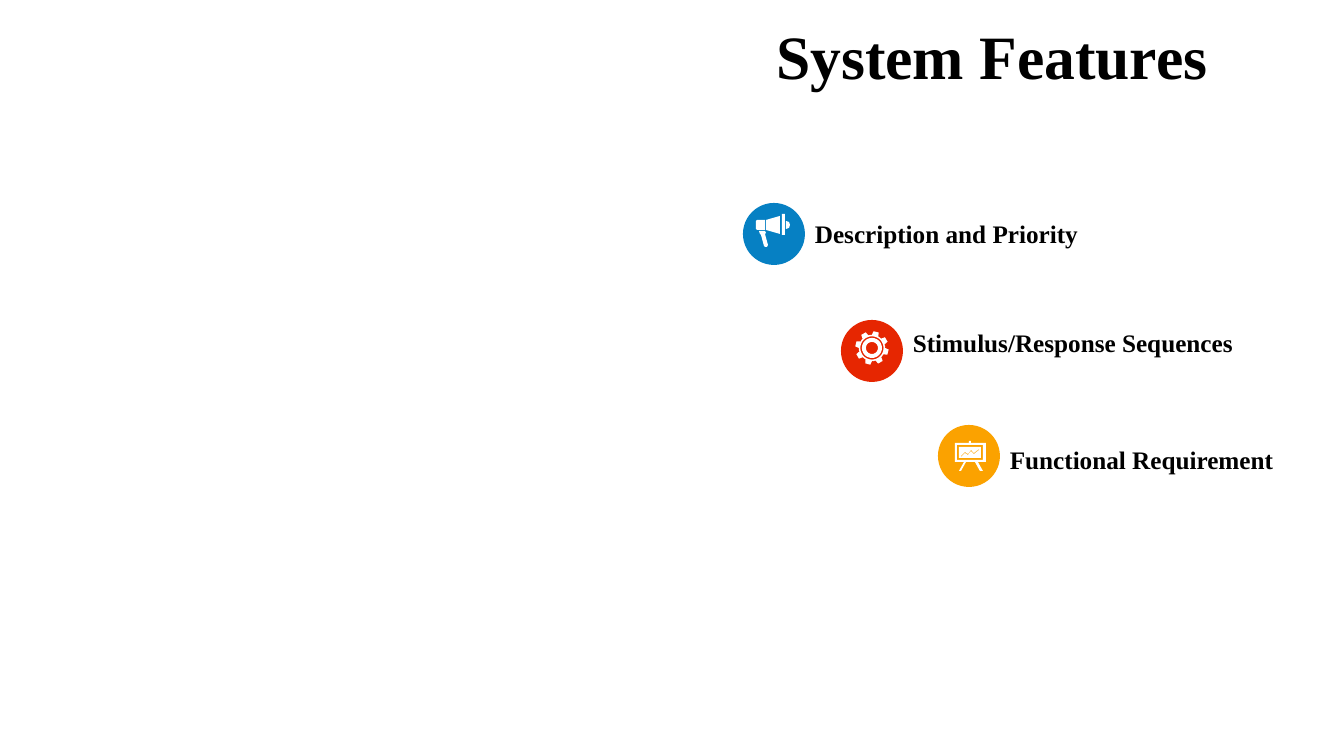
from math import cos, pi, sin

from pptx import Presentation
from pptx.dml.color import RGBColor
from pptx.enum.shapes import MSO_SHAPE
from pptx.enum.text import PP_ALIGN
from pptx.util import Pt

PX = 9071.43
ICON_STEPS = 10
CIRCLE_SIZE = 62
FONT = "Times New Roman"


def px(length):
    """Turn a length in px into EMU."""
    return round(length * PX)


def color(value):
    """Turn a hex string into a colour."""
    return RGBColor.from_string(value)


def paint(shape, fill):
    """Give a shape a flat fill without line or shadow."""
    shape.shadow.inherit = False
    shape.fill.solid()
    shape.fill.fore_color.rgb = color(fill)
    shape.line.fill.background()


def add_text(slide, text, box, size=18, align=PP_ALIGN.LEFT, top_inset=5):
    """Add one bold black line of text in a box."""
    frame = slide.shapes.add_textbox(*map(px, box)).text_frame
    frame.word_wrap = True
    frame.margin_top = px(top_inset)
    paragraph = frame.paragraphs[0]
    paragraph.alignment = align
    paragraph.text = text
    font = paragraph.font
    font.name, font.size, font.bold = FONT, Pt(size), True
    font.color.rgb = color("000000")


def rectangle(left, top, right, bottom):
    """Return the corners of a rectangle."""
    return [(left, top), (right, top), (right, bottom), (left, bottom)]


def ring(center_x, center_y, radius, count=48):
    """Return points around a circle."""
    angles = [2 * pi * step / count for step in range(count)]
    return [(center_x + radius * cos(angle), center_y + radius * sin(angle))
            for angle in angles]


def gear_outline(center_x, center_y, teeth=8, first_angle=-75.5):
    """Return the toothed outline of a gear."""
    tooth = [(-15, 13), (-9, 16.8), (9, 16.8), (15, 13), (22.5, 13.2)]
    points = []
    for index in range(teeth):
        for offset, radius in tooth:
            angle = (first_angle + index * 360 / teeth + offset) * pi / 180
            points.append((center_x + radius * cos(angle),
                           center_y + radius * sin(angle)))
    return points


def megaphone():
    """Return the contours of the megaphone icon."""
    handle = [(16, 28), (22, 28), (23, 30), (22, 31), (25, 42), (24, 44),
              (22, 44), (21, 43), (18, 32), (17, 31)]
    knob = [(43, 18), (46, 19), (47, 22), (46, 25), (43, 26)]
    body = [(14, 17), (22, 17), (22, 27), (14, 27), (13, 26), (13, 18)]
    horn = [(37, 13), (37, 31), (23, 27), (23, 17)]
    return [handle, knob, body, horn, rectangle(39, 11, 42, 32)]


def gear():
    """Return the contours of the gear icon."""
    center = (31, 28)
    return [gear_outline(*center)] + [ring(*center, radius) for radius in (11.6, 10, 6)]


def board():
    """Return the contours of the presentation board icon."""
    outline = [(31, 16), (33, 16), (33, 18), (48, 18), (48, 37), (40, 37),
               (45, 46), (42, 46), (37, 37), (28, 37), (23, 46), (21, 46),
               (26, 37), (17, 37), (17, 18), (31, 18)]
    trend = [(23, 31), (27, 27), (30, 29), (33, 25), (36, 28), (41, 24)]
    trend_band = trend + [(x, y + 1) for x, y in reversed(trend)]
    return [outline, rectangle(19, 20, 45, 35), rectangle(21, 22, 43, 33), trend_band]


def add_icon(slide, left, top, contours):
    """Draw white contours relative to a corner."""
    contours = [[(round((left + x) * ICON_STEPS), round((top + y) * ICON_STEPS))
                 for x, y in contour] for contour in contours]
    builder = slide.shapes.build_freeform(*contours[0][0], scale=PX / ICON_STEPS)
    for index, contour in enumerate(contours):
        if index:
            builder.move_to(*contour[0])
        builder.add_line_segments(contour[1:], close=True)
    paint(builder.convert_to_shape(), "FFFFFF")


def add_feature(slide, left, top, text, fill, icon, text_drop, text_width):
    """Add a round icon with its label to the right."""
    circle = slide.shapes.add_shape(
        MSO_SHAPE.OVAL, px(left), px(top), px(CIRCLE_SIZE), px(CIRCLE_SIZE))
    paint(circle, fill)
    add_icon(slide, left, top, icon)
    add_text(slide, text, (left + CIRCLE_SIZE, top + text_drop, text_width, 61))


def add_features_slide(presentation):
    """Add the slide with its title and three features."""
    slide = presentation.slides.add_slide(presentation.slide_layouts[6])
    add_text(slide, "System Features", (635, 8, 583, 197),
             size=44, align=PP_ALIGN.RIGHT, top_inset=10)
    features = [
        (743, 203, "Description and Priority", "0680C3", megaphone(), 10, 329),
        (841, 320, "Stimulus/Response Sequences", "E62601", gear(), 2, 384),
        (938, 425, "Functional Requirement", "FBA200", board(), 14, 329),
    ]
    for feature in features:
        add_feature(slide, *feature)


def main():
    """Build and save the presentation."""
    presentation = Presentation()
    presentation.slide_width, presentation.slide_height = px(1344), px(756)
    add_features_slide(presentation)
    presentation.save("out.pptx")


if __name__ == "__main__":
    main()
